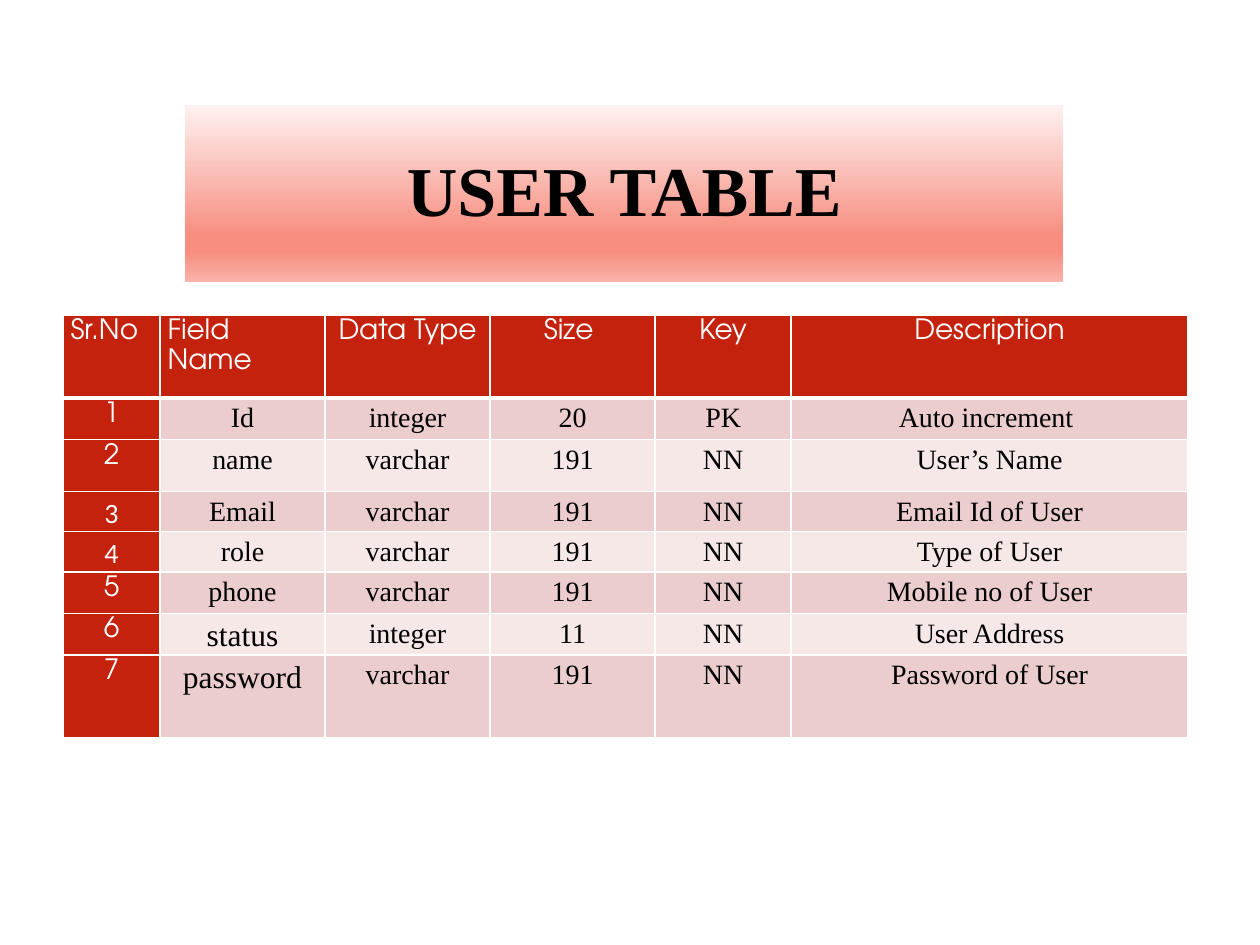
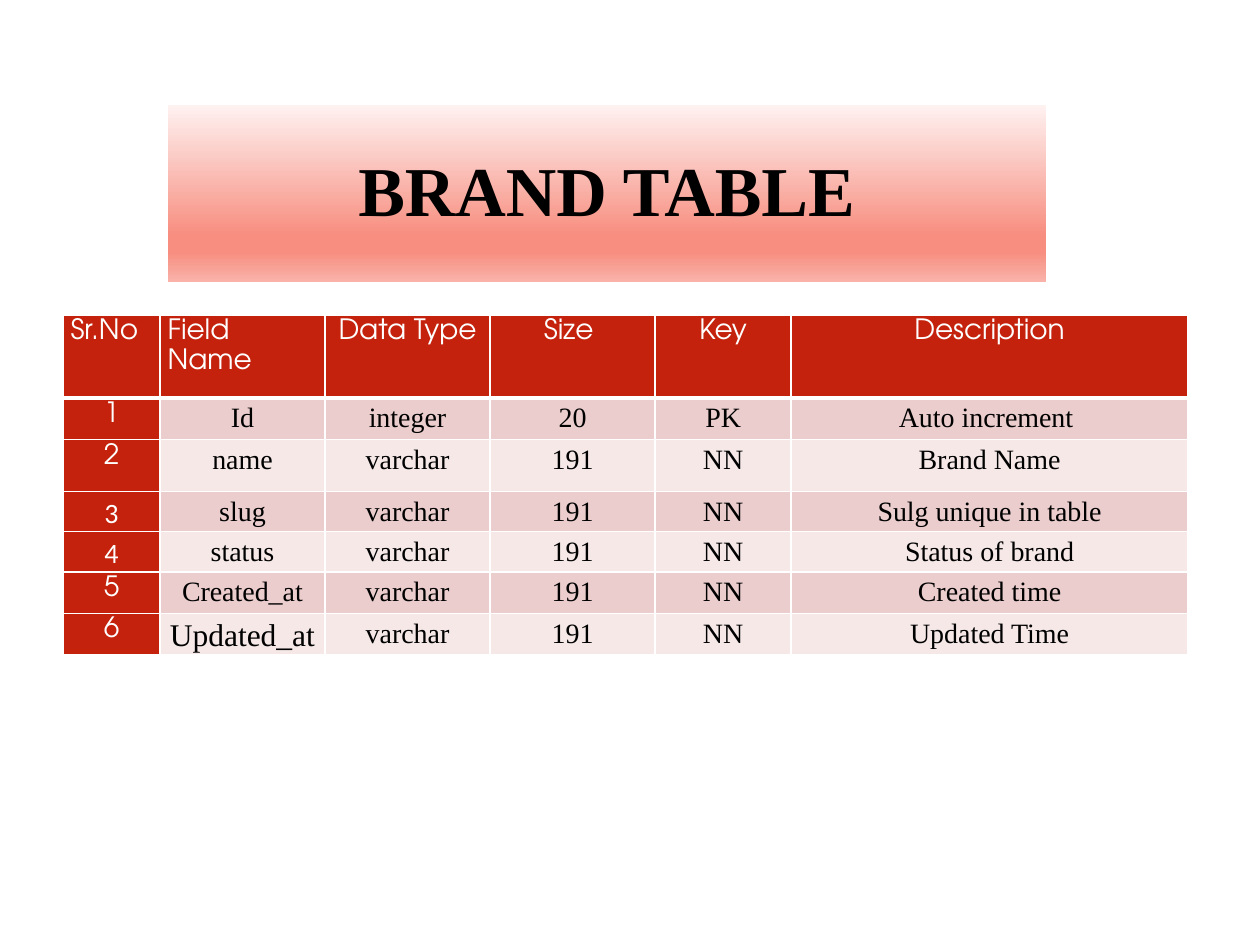
from dataclasses import dataclass

from lxml import etree
from pptx import Presentation
from pptx import util as u
from pptx.dml.color import RGBColor
from pptx.enum import shapes, text
from pptx.oxml import ns

# Shared colours and fonts
WHITE = RGBColor(0xFF, 0xFF, 0xFF)
BLACK = RGBColor(0x00, 0x00, 0x00)
RED = RGBColor(0xC4, 0x22, 0x0D)
BANDS = (RGBColor(0xEA, 0xCD, 0xCC), RGBColor(0xF5, 0xE8, 0xE7))
TITLE_STOPS = (
    (0, RGBColor(0xFE, 0xF2, 0xF1)),
    (74, RGBColor(0xF7, 0x8E, 0x80)),
    (83, RGBColor(0xF7, 0x8E, 0x80)),
    (100, RGBColor(0xF9, 0xB3, 0xAA)),
)
SERIF = "Times New Roman"
DISPLAY = "TeX Gyre Adventor"
PLAIN = "Calibri"

# Shared table layout
HEADERS = ("Sr.No", "Field Name", "Data Type", "Size ", "Key", "Description")
COLUMN_WIDTHS = (0.77, 1.31, 1.31, 1.31, 1.08, 3.15)
ROW_HEIGHTS = (0.66, 0.33, 0.41, 0.32, 0.32, 0.33, 0.33, 0.66)
PLAIN_NUMBER_ROWS = (3, 4)
FIRST_LARGE_ROW = 6
LEFT_HEADERS = 2
CELL_FORMAT = {
    "margin_left": u.Inches(0.06),
    "margin_right": u.Inches(0.06),
    "margin_top": 0,
    "margin_bottom": 0,
}


@dataclass(frozen=True)
class Field:
    name: str
    data_type: str
    size: str
    key: str
    description: str


@dataclass(frozen=True)
class TableSlide:
    title: str
    title_left: float
    fields: tuple[Field, ...]


ID_FIELD = Field("Id", "integer", "20", "PK", "Auto increment ")


def varchar(name: str, description: str) -> Field:
    return Field(name, "varchar", "191", "NN", description)


TABLE_SLIDES = (
    TableSlide("USER TABLE", 1.47, (
        ID_FIELD,
        varchar("name", "User’s Name"),
        varchar("Email", "Email Id of User"),
        varchar("role", "Type of User"),
        varchar("phone", "Mobile no of User"),
        Field("status", "integer", "11", "NN", "User Address"),
        varchar("password", "Password of User"),
    )),
    TableSlide("BRAND TABLE", 1.33, (
        ID_FIELD,
        varchar("name", "Brand Name"),
        varchar("slug", "Sulg unique in table"),
        varchar("status", "Status of brand"),
        varchar("Created_at", "Created time"),
        varchar("Updated_at", "Updated Time"),
    )),
)


def set_attributes(target, values: dict) -> None:
    for name, value in values.items():
        setattr(target, name, value)


def write_text(frame, content: str, spacing: float, color: RGBColor,
               align=text.PP_ALIGN.CENTER, **font_format) -> None:
    paragraph = frame.paragraphs[0]
    set_attributes(paragraph, {"alignment": align, "line_spacing": spacing})
    run = paragraph.add_run()
    run.text = content
    set_attributes(run.font, font_format)
    run.font.color.rgb = color


def fill_gradient(shape) -> None:
    """Fill from top to bottom with the title colours."""
    shape.fill.background()
    properties = shape._element.spPr
    gradient = etree.Element(ns.qn("a:gradFill"), rotWithShape="1")
    stops = etree.SubElement(gradient, ns.qn("a:gsLst"))
    for position, color in TITLE_STOPS:
        stop = etree.SubElement(stops, ns.qn("a:gs"), pos=str(position * 1000))
        etree.SubElement(stop, ns.qn("a:srgbClr"), val=str(color))
    etree.SubElement(gradient, ns.qn("a:lin"), ang="5400000", scaled="0")
    properties.replace(properties.find(ns.qn("a:noFill")), gradient)


def add_title(slide, title: str, left: float) -> None:
    shape = slide.shapes.add_shape(
        shapes.MSO_SHAPE.RECTANGLE,
        u.Inches(left), u.Inches(0.83), u.Inches(6.97), u.Inches(1.41))
    shape.shadow.inherit = False
    shape.line.fill.background()
    fill_gradient(shape)
    set_attributes(shape.text_frame, {
        "word_wrap": True, "vertical_anchor": text.MSO_ANCHOR.MIDDLE})
    write_text(shape.text_frame, title, 0.9, BLACK,
               name=SERIF, size=u.Pt(40), bold=True)


def add_borders(cell, bottom: int) -> None:
    """Draw white cell borders; widths are in points."""
    properties = cell._tc.get_or_add_tcPr()
    for tag, width in (("lnL", 1), ("lnR", 1), ("lnT", 1), ("lnB", bottom)):
        line = etree.SubElement(
            properties, ns.qn(f"a:{tag}"), w=str(u.Pt(width)))
        fill = etree.SubElement(line, ns.qn("a:solidFill"))
        etree.SubElement(fill, ns.qn("a:srgbClr"), val=str(WHITE))


def format_cell(cell, content: str, row: int, column: int) -> None:
    is_header = row == 0
    on_red = is_header or column == 0
    font = SERIF
    if on_red:
        font = PLAIN if row in PLAIN_NUMBER_ROWS else DISPLAY
    is_large = column == 1 and row >= FIRST_LARGE_ROW
    is_left = is_header and column < LEFT_HEADERS

    set_attributes(cell, CELL_FORMAT)
    add_borders(cell, bottom=3 if is_header else 1)
    cell.fill.solid()
    cell.fill.fore_color.rgb = RED if on_red else BANDS[(row - 1) % 2]
    write_text(cell.text_frame, content, 1.15, WHITE if on_red else BLACK,
               text.PP_ALIGN.LEFT if is_left else text.PP_ALIGN.CENTER,
               name=font, size=u.Pt(18 if is_large else 16), bold=False)


def add_field_table(slide, fields: tuple[Field, ...]) -> None:
    rows = [HEADERS] + [
        (str(number), field.name, field.data_type, field.size, field.key,
         field.description)
        for number, field in enumerate(fields, start=1)]
    heights = ROW_HEIGHTS[:len(rows)]
    table = slide.shapes.add_table(
        len(rows), len(HEADERS), u.Inches(0.5), u.Inches(2.5),
        u.Inches(sum(COLUMN_WIDTHS)), u.Inches(sum(heights))).table
    for column, width in zip(table.columns, COLUMN_WIDTHS):
        column.width = u.Inches(width)
    for table_row, height in zip(table.rows, heights):
        table_row.height = u.Inches(height)
    for row, values in enumerate(rows):
        for column, content in enumerate(values):
            format_cell(table.cell(row, column), content, row, column)


def main() -> None:
    presentation = Presentation()
    set_attributes(presentation, {
        "slide_width": u.Inches(10), "slide_height": u.Inches(7.5)})
    blank_layout = presentation.slide_layouts[6]
    for content in TABLE_SLIDES:
        slide = presentation.slides.add_slide(blank_layout)
        add_title(slide, content.title, content.title_left)
        add_field_table(slide, content.fields)
    presentation.save("out.pptx")


if __name__ == "__main__":
    main()
